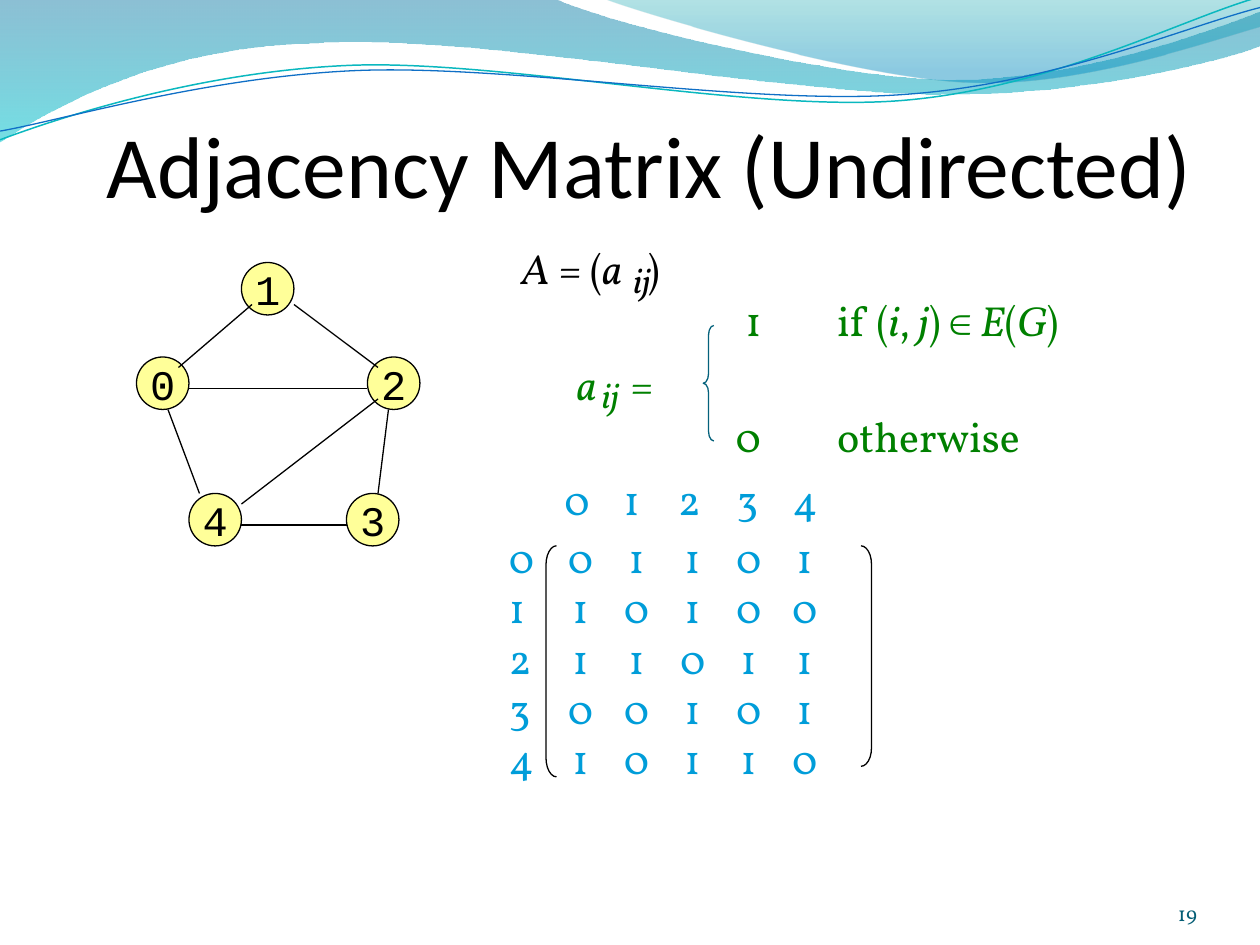
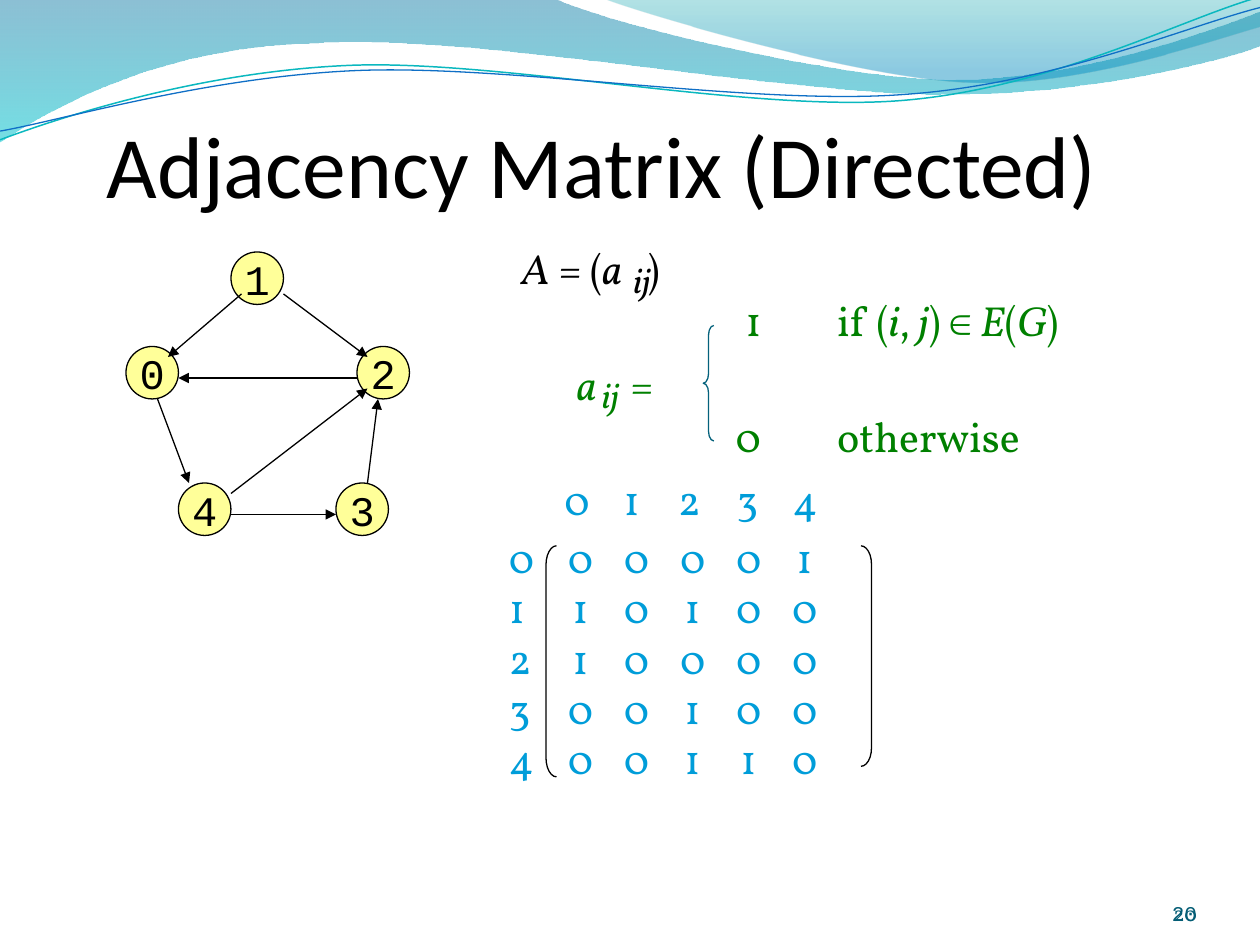
from lxml import etree
from pptx import Presentation
from pptx.dml.color import RGBColor
from pptx.enum import shapes, text
from pptx.oxml.ns import qn
from pptx.util import Pt

BLACK, GREEN, BLUE, TEAL, YELLOW = "000000", "008000", "009DD9", "04617B", "FFFF99"
NUMBER_COLOR = "045D75"
BODY, TITLE, MONO = "Vollkorn", "Calibri", "Courier New"
LINE_WIDTH = 0.75
NODE_SIZE = 30

NODES = {"1": (60, 0), "0": (0, 54), "2": (132, 54), "4": (30, 132), "3": (120, 132)}
EDGES = [
    (90, 24, 138, 60), (66, 24, 24, 60), (18, 84, 36, 132), (60, 138, 138, 78),
    (138, 132, 144, 84), (132, 72, 30, 72), (60, 150, 120, 150),
]

BANDS = [
    ([(0, 0), (317, -0.7), (342.7, 12.2, 478.1, 45.4, 545.8, 45.4),
      (614.2, 45.4, 689.8, 18.7, 720, 6.5), (720.7, 25.9),
      (707.8, 31.7, 626.4, 54.7, 537.1, 54), (446.4, 54, 275, 20.2, 185, 24.5),
      (92.9, 25.9, 33.1, 59.8, -0.7, 81.4), (0, 0)],
     [(0, "0074A1", 45), (1, "00C6CF", 55)]),
    ([(344.9, -0.7), (366.5, 7.9, 491, 44.6, 553.7, 46.8),
      (616.3, 49.7, 691.9, 23, 720, 15.1), (720, 0), (344.9, -0.7)],
     [(0, "00A1A9", 30), (0.8, "008BBF", 45)]),
]
RIPPLES = [
    ([(0, 79.9), (34.6, 67, 113.8, 41, 199.4, 37.4),
      (284.4, 33.8, 427, 64.1, 513.4, 57.6), (599.8, 51.1, 675.4, 10.8, 718.6, -1.4)],
     "0AB8BF", 0.85),
    ([(0, 74.9), (33.8, 69.1, 118.1, 43.9, 203.8, 40.3),
      (290.2, 36.7, 429.8, 60.5, 516.2, 54), (601.9, 48.2, 677.5, 15.1, 720, 4.3)],
     "0F6FC6", 0.75),
]

SLIDES = [
    dict(title="Adjacency Matrix (Undirected)", title_width=636, graph=(78, 150),
         directed=False, number="19", number_fonts=[BODY],
         rows=["01101", "10100", "11011", "00101", "10110"]),
    dict(title="Adjacency Matrix (Directed)", title_width=612, graph=(72, 144),
         directed=True, number="20", number_fonts=[BODY, MONO],
         rows=["00001", "10100", "10000", "00100", "00110"]),
]


def color(value):
    return RGBColor.from_string(value)


def style_line(shape, value, width=LINE_WIDTH):
    shape.line.color.rgb = color(value)
    shape.line.width = Pt(width)


def write(frame, content, size=24, font=BODY, fill=BLACK, align="LEFT", anchor="TOP",
          wrap=True, margins=None, tabs=(), tab_align="l"):
    frame.word_wrap = wrap
    frame.auto_size = text.MSO_AUTO_SIZE.NONE
    frame.vertical_anchor = text.MSO_ANCHOR[anchor]
    if margins is not None:
        frame.margin_left = frame.margin_right = Pt(margins)
        frame.margin_top = frame.margin_bottom = Pt(margins)
    for index, line in enumerate(content.split("\n")):
        para = frame.add_paragraph() if index else frame.paragraphs[0]
        para.alignment = text.PP_ALIGN[align]
        if tabs:
            stops = etree.SubElement(para._p.get_or_add_pPr(), qn("a:tabLst"))
            for stop in tabs:
                etree.SubElement(stops, qn("a:tab"), pos=str(Pt(stop)), algn=tab_align)
        for part, words in enumerate(line.split("*")):
            if words:
                span = para.add_run()
                span.text = words
                span.font.size = Pt(size)
                span.font.name = font
                span.font.italic = part % 2 == 1
                span.font.color.rgb = color(fill)


def add_text(page, box, content, **style):
    write(page.shapes.add_textbox(*map(Pt, box)).text_frame, content, **style)


def add_outline(page, kind, box, adjustments, value):
    shape = page.shapes.add_shape(shapes.MSO_SHAPE[kind], *map(Pt, box))
    shape.shadow.inherit = False
    shape.fill.background()
    style_line(shape, value)
    for index, amount in enumerate(adjustments):
        shape.adjustments[index] = amount


def add_wave(page, steps, closed):
    points = [(Pt(x), Pt(y)) for step in steps for x, y in zip(step[::2], step[1::2])]
    builder = page.shapes.build_freeform(*points[0])
    builder.add_line_segments(points[1:], close=closed)
    shape = builder.convert_to_shape()
    shape.shadow.inherit = False
    segments = iter(list(shape.element.spPr.iter(qn("a:lnTo"))))
    for step in steps[1:]:
        first = next(segments)
        if len(step) == 6:
            first.tag = qn("a:cubicBezTo")
            for follower in (next(segments), next(segments)):
                first.append(follower[0])
                follower.getparent().remove(follower)
    return shape


def add_wave_header(page):
    waves = []
    for steps, stops in BANDS:
        band = add_wave(page, steps, True)
        band.line.fill.background()
        band.fill.gradient()
        band.fill.gradient_angle = 270
        for stop, (position, value, _) in zip(band.fill.gradient_stops, stops):
            stop.position = position
            stop.color.rgb = color(value)
        tints = list(band.element.spPr.iter(qn("a:srgbClr")))
        for tint, (_, _, opacity) in zip(tints, stops):
            etree.SubElement(tint, qn("a:alpha"), val=str(opacity * 1000))
        waves.append(band)
    for steps, value, width in RIPPLES:
        ripple = add_wave(page, steps, False)
        ripple.fill.background()
        style_line(ripple, value, width)
        waves.append(ripple)
    for wave in waves:
        page.slide_layout.shapes.element.append(wave.element)


def add_title(page, title, width):
    holder = page.shapes.title
    holder.left, holder.top, holder.width, holder.height = map(Pt, (53.7, 60, width, 72))
    write(holder.text_frame, title, size=50, font=TITLE)


def add_number(page, number, fonts):
    for font in fonts:
        add_text(page, (624, 500.4, 60, 28.8), number, size=12, font=font,
                 fill=NUMBER_COLOR, align="RIGHT", anchor="BOTTOM", margins=0)


def add_graph(page, left, top, directed):
    for label, (x, y) in NODES.items():
        node = page.shapes.add_shape(shapes.MSO_SHAPE.OVAL, Pt(left + x), Pt(top + y),
                                     Pt(NODE_SIZE), Pt(NODE_SIZE))
        node.shadow.inherit = False
        node.fill.solid()
        node.fill.fore_color.rgb = color(YELLOW)
        style_line(node, BLACK)
        write(node.text_frame, label, font=MONO, align="CENTER", anchor="MIDDLE", wrap=False)
    for x1, y1, x2, y2 in EDGES:
        edge = page.shapes.add_connector(
            shapes.MSO_CONNECTOR.STRAIGHT,
            Pt(left + x1), Pt(top + y1), Pt(left + x2), Pt(top + y2))
        style_line(edge, BLACK)
        if directed:
            etree.SubElement(edge.line._get_or_add_ln(), qn("a:tailEnd"), type="triangle")
        etree.SubElement(edge.element.spPr, qn("a:effectLst"))


def add_definition(page, left, top):
    subscript = dict(size=20, align="CENTER", wrap=False)
    add_text(page, (left + 63.3, top + 9, 25.2, 31), "*ij*", **subscript)
    add_text(page, (left, top, 111, 36.7), "*A* = (*a*\t)", tabs=[72])
    add_text(page, (left + 31.7, top + 66.2, 70.6, 36.7), "*a*\t=", fill=GREEN, tabs=[30.5])
    add_outline(page, "LEFT_BRACE", (left + 111, top + 51, 6, 66), [0.917, 0.5], TEAL)
    add_text(page, (left + 45.3, top + 75, 25.2, 31), "*ij*", fill=GREEN, **subscript)
    add_text(page, (left + 128, top + 29.5, 219.6, 36), "1\tif (*i*, *j*) ∈ *E*(*G*)",
             fill=GREEN, tabs=[52.3])
    add_text(page, (left + 122.4, top + 96, 184.3, 36.7), "0\totherwise",
             fill=GREEN, tabs=[58])


def add_matrix(page, left, top, rows):
    style = dict(fill=BLUE, tab_align="ctr")
    count = len(rows)
    labels = [str(index) for index in range(count)]
    lines = ["\t".join(label + row) for label, row in zip(labels, rows)]
    add_text(page, (left, top + 33.1, 214, 152.6), "\n".join(lines),
             tabs=[41 + 32 * index for index in range(count)], **style)
    add_text(page, (left + 31.7, top, 173.5, 36), "\t".join(labels),
             tabs=[38.5 + 33 * index for index in range(count - 1)], **style)
    add_outline(page, "LEFT_BRACKET", (left + 28.3, top + 45, 6, 132), [1.833], BLACK)
    add_outline(page, "RIGHT_BRACKET", (left + 208.3, top + 45, 6, 126), [1.75], BLACK)


def add_matrix_page(page, title, title_width, graph, directed, number, number_fonts, rows):
    add_number(page, number, number_fonts)
    add_title(page, title, title_width)
    add_graph(page, *graph, directed)
    add_definition(page, 290.9, 135)
    add_matrix(page, 283.7, 266.9, rows)


def main():
    deck = Presentation()
    deck.slide_width, deck.slide_height = Pt(720), Pt(540)
    layout = deck.slide_layouts[5]
    pages = [deck.slides.add_slide(layout) for _ in SLIDES]
    add_wave_header(pages[0])
    for page, content in zip(pages, SLIDES):
        add_matrix_page(page, **content)
    deck.save("out.pptx")


if __name__ == "__main__":
    main()
